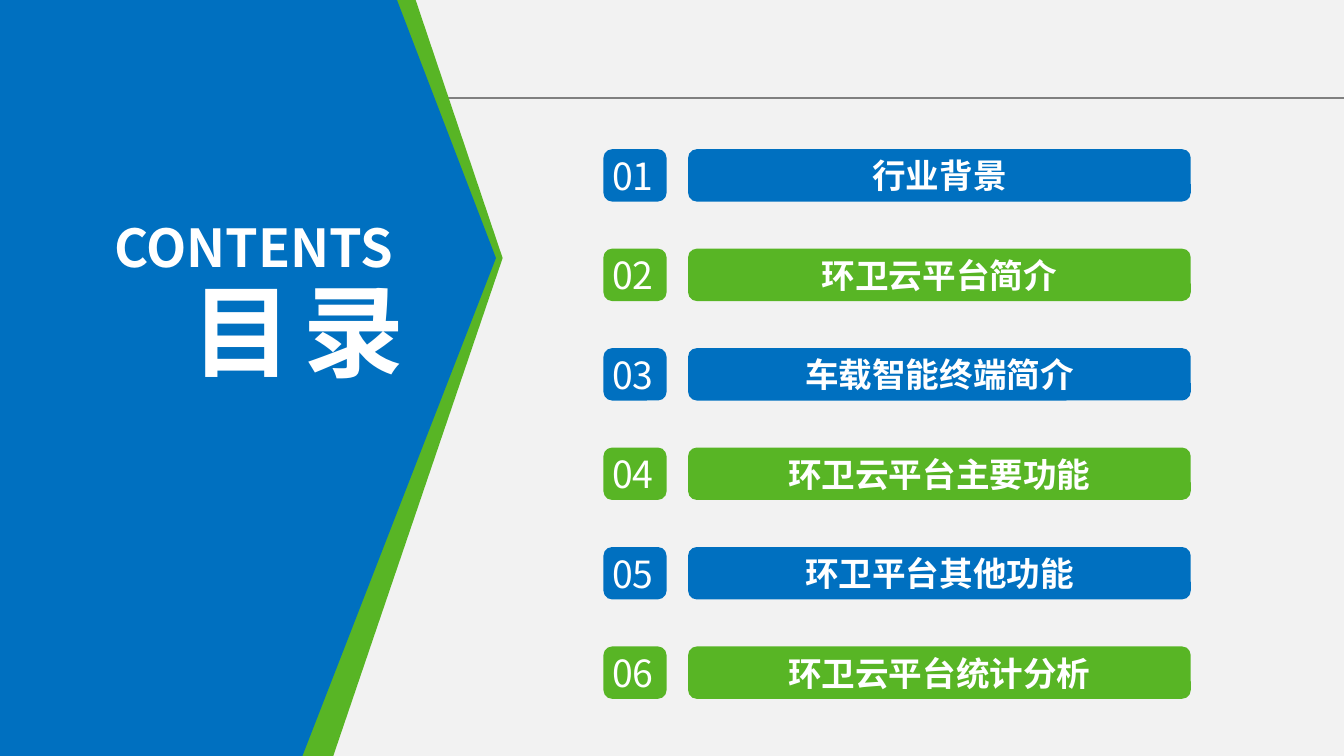
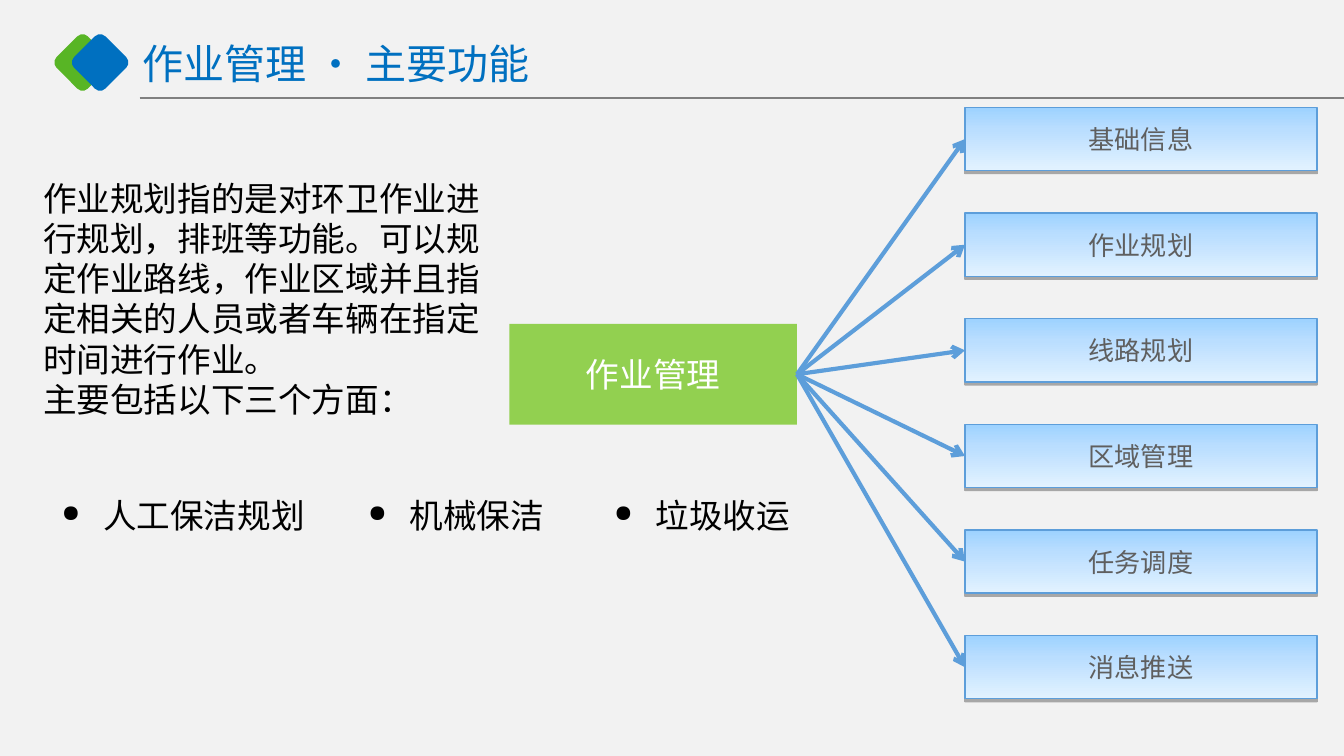
from lxml import etree
from pptx import Presentation
from pptx.dml.color import RGBColor
from pptx.enum.shapes import MSO_CONNECTOR, MSO_SHAPE
from pptx.enum.text import MSO_ANCHOR, MSO_AUTO_SIZE, PP_ALIGN
from pptx.oxml.ns import qn
from pptx.util import Inches, Pt
from copy import deepcopy

BLUE = RGBColor(0x00, 0x70, 0xC0)
GREEN = RGBColor(0x58, 0xB5, 0x25)
LIME = RGBColor(0x92, 0xD0, 0x50)
SKY = RGBColor(0x5D, 0x9E, 0xDA)
PAPER = RGBColor(0xF2, 0xF2, 0xF2)
GRAY = RGBColor(0x80, 0x80, 0x80)
DARK_GRAY = RGBColor(0x5F, 0x5F, 0x5F)
WHITE = RGBColor(0xFF, 0xFF, 0xFF)
BLACK = RGBColor(0x00, 0x00, 0x00)
BOX_GRADIENT = [
    (0, RGBColor(0x9D, 0xD2, 0xFF)),
    (0.35, RGBColor(0xBA, 0xDE, 0xFF)),
    (1, RGBColor(0xE2, 0xF2, 0xFF)),
]
NOTO = "Noto Sans CJK SC"
ARIAL = "Arial"


def add_shape(slide, kind, left, top, width, height, color):
    shape = slide.shapes.add_shape(
        kind, Inches(left), Inches(top), Inches(width), Inches(height))
    shape.shadow.inherit = False
    shape.fill.solid()
    shape.fill.fore_color.rgb = color
    shape.line.fill.background()
    shape.text_frame.vertical_anchor = MSO_ANCHOR.MIDDLE
    return shape


def add_run(paragraph, text, size, color, name=NOTO, bold=False, align=PP_ALIGN.LEFT):
    paragraph.alignment = align
    run = paragraph.add_run()
    run.text = text
    font = run.font
    font.size, font.bold, font.name = Pt(size), bold, name
    font.color.rgb = color
    properties = run._r.get_or_add_rPr()
    etree.SubElement(properties, qn("a:ea"), typeface=name)
    return properties


# Widescreen, 16:9
presentation = Presentation()
presentation.slide_width = Inches(10)
presentation.slide_height = Inches(10 * 9 / 16)
master = presentation.slide_master
master.background.fill.solid()
master.background.fill.fore_color.rgb = PAPER

# Contents slide
slide = presentation.slides.add_slide(presentation.slide_layouts[5])

# Header rule and diamonds, shared through the master
rule = slide.shapes.add_connector(
    MSO_CONNECTOR.STRAIGHT, Inches(1.04), Inches(0.73), Inches(10), Inches(0.73))
rule.line.color.rgb = GRAY
rule.line.width = Pt(0.75)
etree.SubElement(rule.element.spPr, qn("a:effectLst"))
master.shapes.element.append(rule.element)
for left, color in [(0.45, GREEN), (0.58, BLUE)]:
    diamond = add_shape(slide, MSO_SHAPE.ROUNDED_RECTANGLE, left, 0.3, 0.33, 0.33, color)
    diamond.rotation = 315
    master.shapes.element.append(diamond.element)

# Pointed side panel
bottom = presentation.slide_height
for shoulder, tip, foot, color in [(3.09, 3.74, 2.48, GREEN), (2.95, 3.69, 2.25, BLUE)]:
    outline = slide.shapes.build_freeform(0, Inches(-0.01))
    outline.add_line_segments([
        (Inches(shoulder), Inches(-0.01)), (Inches(tip), Inches(1.92)),
        (Inches(foot), bottom), (0, bottom)])
    panel = outline.convert_to_shape()
    panel.shadow.inherit = False
    panel.fill.solid()
    panel.fill.fore_color.rgb = color
    panel.line.fill.background()

caption = slide.shapes.add_textbox(Inches(0.75), Inches(1.55), Inches(2.41), Inches(0.57))
caption.text_frame.word_wrap = True
add_run(caption.text_frame.paragraphs[0], "CONTENTS", 28, WHITE, bold=True)

# The title goes in front of the panel
title = slide.shapes.title
title.left, title.top = Inches(1.18), Inches(1.95)
title.width, title.height = Inches(1.93), Inches(1.01)
title.text_frame.vertical_anchor = MSO_ANCHOR.TOP
title.text_frame.auto_size = MSO_AUTO_SIZE.NONE
properties = add_run(title.text_frame.paragraphs[0], "目 录", 54, WHITE,
                     bold=True, align=PP_ALIGN.RIGHT)
properties.set("spc", "-300")
slide.shapes.element.append(title.element)

# Numbered chapters
chapters = ["行业背景", "环卫云平台简介", "车载智能终端简介",
            "环卫云平台主要功能", "环卫平台其他功能", "环卫云平台统计分析"]
for index, chapter in enumerate(chapters):
    top = 1.11 + 0.74 * index
    color = GREEN if index % 2 else BLUE
    bar = add_shape(slide, MSO_SHAPE.ROUNDED_RECTANGLE, 5.12, top, 3.74, 0.39, color)
    add_run(bar.text_frame.paragraphs[0], chapter, 18, WHITE,
            bold=True, align=PP_ALIGN.CENTER)
    badge = add_shape(slide, MSO_SHAPE.ROUNDED_RECTANGLE, 4.49, top, 0.47, 0.39, color)
    badge.text_frame.margin_left = 0
    badge.text_frame.margin_right = Inches(0.03)
    add_run(badge.text_frame.paragraphs[0], f"{index + 1:02d}", 20, WHITE,
            align=PP_ALIGN.CENTER)

# Job management slide
slide = presentation.slides.add_slide(presentation.slide_layouts[1])
title = slide.shapes.title
title.left, title.top = Inches(0.99), Inches(0.29)
title.width, title.height = Inches(6.45), Inches(0.36)
frame = title.text_frame
frame.margin_left = frame.margin_right = Inches(0.07)
frame.margin_top = frame.margin_bottom = Inches(0.04)
frame.vertical_anchor = MSO_ANCHOR.MIDDLE
frame.auto_size = MSO_AUTO_SIZE.NONE
add_run(frame.paragraphs[0], "作业管理 • 主要功能", 22, BLUE)

# Description
body = slide.placeholders[1]
body.left, body.top = Inches(0.22), Inches(1.27)
body.width, body.height = Inches(3.5), Inches(1.92)
frame = body.text_frame
frame.auto_size = MSO_AUTO_SIZE.NONE
sentences = [
    "作业规划指的是对环卫作业进行规划，排班等功能。"
    "可以规定作业路线，作业区域并且指定相关的人员或者车辆在指定时间进行作业。",
    "主要包括以下三个方面：",
]
for index, sentence in enumerate(sentences):
    paragraph = frame.add_paragraph() if index else frame.paragraphs[0]
    layout = paragraph._p.get_or_add_pPr()
    layout.set("marL", "0")
    layout.set("indent", "0")
    etree.SubElement(layout, qn("a:buNone"))
    paragraph.space_before = Pt(0)
    add_run(paragraph, sentence, 18, BLACK, ARIAL)

# Three aspects in a row
for left, width, aspect in [(0.36, 2.06, "人工保洁规划"),
                            (2.64, 1.53, "机械保洁"),
                            (4.47, 1.55, "垃圾收运")]:
    item = slide.shapes.add_textbox(Inches(left), Inches(3.63), Inches(width), Inches(0.4))
    item.text_frame.word_wrap = True
    paragraph = item.text_frame.paragraphs[0]
    layout = paragraph._p.get_or_add_pPr()
    layout.set("marL", str(Inches(0.31)))
    layout.set("indent", str(-Inches(0.31)))
    etree.SubElement(layout, qn("a:buSzPct"), val="70000")
    etree.SubElement(layout, qn("a:buChar"), char="●")
    add_run(paragraph, aspect, 18, BLACK, ARIAL)

# Hub
hub = add_shape(slide, MSO_SHAPE.RECTANGLE, 3.79, 2.41, 2.14, 0.75, LIME)
add_run(hub.text_frame.paragraphs[0], "作业管理", 18, WHITE, ARIAL, align=PP_ALIGN.CENTER)

# Function boxes, each with an arrow from the hub
functions = ["基础信息", "作业规划", "线路规划", "区域管理", "任务调度", "消息推送"]
pitch = (4.73 - 0.8) / (len(functions) - 1)
for index, function in enumerate(functions):
    box = add_shape(slide, MSO_SHAPE.RECTANGLE, 7.18, 0.8 + pitch * index, 2.62, 0.47, SKY)
    box.line.color.rgb = SKY
    box.line.width = Pt(0.75)
    box.fill.gradient()
    box.fill.gradient_angle = 270
    stops = box.element.spPr.find(".//" + qn("a:gsLst"))
    stops.append(deepcopy(stops[-1]))
    for stop, (position, color) in zip(box.fill.gradient_stops, BOX_GRADIENT):
        stop.color.rgb = color
        stop.position = position
    shadow = etree.SubElement(box.element.spPr.find(qn("a:effectLst")), qn("a:outerShdw"),
                              dist=str(Pt(1.6)), dir="5400000", rotWithShape="0")
    shade = etree.SubElement(shadow, qn("a:srgbClr"), val="000000")
    etree.SubElement(shade, qn("a:alpha"), val="31000")
    add_run(box.text_frame.paragraphs[0], function, 14, DARK_GRAY, align=PP_ALIGN.CENTER)

    arrow = slide.shapes.add_connector(MSO_CONNECTOR.STRAIGHT, 0, 0, 0, 0)
    arrow.begin_connect(hub, 3)
    arrow.end_connect(box, 1)
    arrow.line.color.rgb = SKY
    arrow.line.width = Pt(2.25)
    etree.SubElement(arrow.line._get_or_add_ln(), qn("a:tailEnd"), type="arrow")
    etree.SubElement(arrow.element.spPr, qn("a:effectLst"))

presentation.save("out.pptx")
